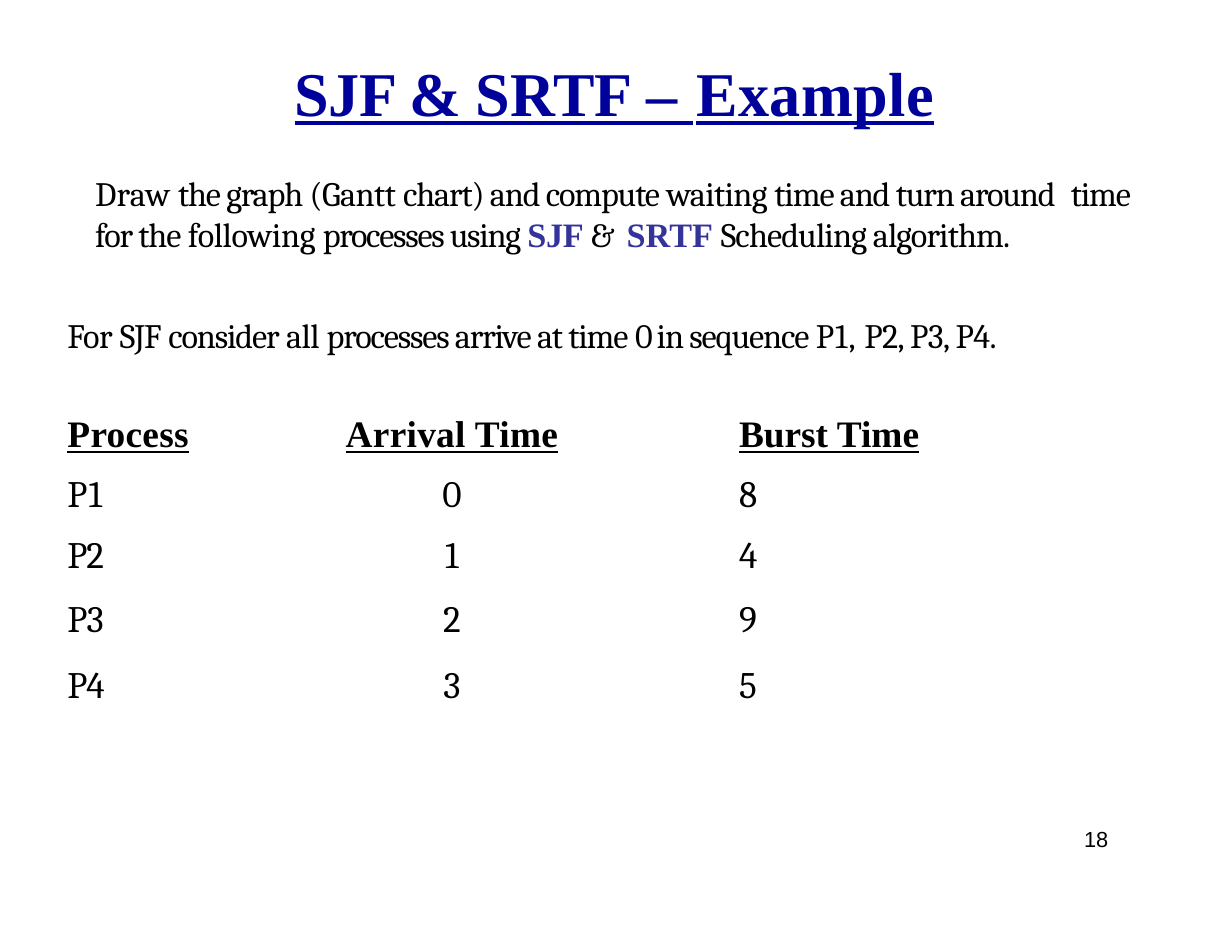
from pptx import Presentation
from pptx import util as u
from pptx.dml.color import RGBColor
from pptx.enum import text

SERIF, BODY, SANS = "Times New Roman", "Cambria", "Arial"
BLACK, NAVY, INDIGO = "000000", "00009A", "33339A"


def color(value):
    return RGBColor.from_string(value)


def add_run(p, content, font=BODY, size=22, fill=BLACK, bold=False, underline=False, spacing=0):
    r = p.add_run()
    r.text = content
    f = r.font
    f.name, f.size, f.bold, f.underline = font, u.Pt(size), bold, underline
    f.color.rgb = color(fill)
    r._r.get_or_add_rPr().set("spc", str(round(spacing * 100)))


class Deck:
    def __init__(self, width, height):
        self.prs = Presentation()
        self.prs.slide_width, self.prs.slide_height = u.Cm(width), u.Cm(height)
        self.s = self.prs.slides.add_slide(self.prs.slide_layouts[5])

    def paragraph(self, p, runs, indent=0.0, before=0, line=None, align=text.PP_ALIGN.LEFT, **style):
        p.alignment, p.space_before = align, u.Pt(before)
        if line:
            p.line_spacing = line
        pPr = p._p.get_or_add_pPr()
        pPr.set("marL", str(u.Cm(indent)))
        pPr.set("indent", "0")
        for content, spacing, *extra in runs:
            add_run(p, content, spacing=spacing, **{**style, **(extra[0] if extra else {})})

    def frame(self, tf):
        tf.margin_left = tf.margin_right = tf.margin_bottom = 0
        tf.margin_top = u.Cm(0.03)
        tf.word_wrap = True
        tf.auto_size = text.MSO_AUTO_SIZE.NONE
        tf.vertical_anchor = text.MSO_ANCHOR.TOP
        return tf

    def title(self, box, runs, **style):
        sp = self.s.shapes.title
        sp.left, sp.top, sp.width, sp.height = map(u.Cm, box)
        self.paragraph(self.frame(sp.text_frame).paragraphs[0], runs, **style)

    def textbox(self, box, paragraphs):
        tf = self.frame(self.s.shapes.add_textbox(*map(u.Cm, box)).text_frame)
        for i, (runs, style) in enumerate(paragraphs):
            p = tf.add_paragraph() if i else tf.paragraphs[0]
            self.paragraph(p, runs, **style)

    def table(self, left, top, widths, heights, rows, columns):
        box = map(u.Cm, (left, top, sum(widths), sum(heights)))
        table = self.s.shapes.add_table(len(rows), len(widths), *box).table
        table.first_row = table.horz_banding = False
        for col, width in zip(table.columns, widths):
            col.width = u.Cm(width)
        for i, values in enumerate(rows):
            table.rows[i].height = u.Cm(heights[i])
            if i == 0:
                style = dict(font=SERIF, bold=True, underline=True, line=u.Pt(22.8))
            else:
                style = dict(before=0.6 if i == 1 else 1.6)
            if i == len(rows) - 1:
                style["line"] = u.Pt(28.5)
            for j, (value, spacing) in enumerate(values):
                cell = table.cell(i, j)
                cell.fill.background()
                cell.margin_left = cell.margin_right = cell.margin_bottom = 0
                cell.margin_top = u.Cm(0.04 if i else 0)
                p = cell.text_frame.paragraphs[0]
                self.paragraph(p, [(value, spacing)], size=24, **style, **columns[j])


deck = Deck(27.94, 21.59)
deck.title((6.55, 1.19, 14.86, 1.78),
           [("SJF ", -0.3), ("& ", -1.2), ("SRTF ", 0.2), ("–", 0), (" ", 1.8), ("Example", 0.3)],
           indent=0.13, before=1, font=SERIF, size=40, fill=NAVY, bold=True, underline=True)

accent = dict(font=SERIF, fill=INDIGO, bold=True)
task = [("Draw ", 0.1), ("the graph ", -0.7), ("(Gantt ", -0.3), ("chart) and compute ", -0.7),
        ("waiting ", -0.4), ("time and turn around", -0.7), (" ", 5), ("time for the ", -0.7),
        ("following ", -0.2), ("processes using ", -0.8), ("SJF ", -0.2, accent), ("& ", 1.6),
        ("SRTF ", 0.1, accent), ("Scheduling algorithm.", -0.55)]
note = [("For ", -0.2), ("SJF ", -0.5), ("consider ", -0.7), ("all ", -0.3),
        ("processes arrive at time ", -0.7), ("0 ", -2.3), ("in sequence ", -0.7),
        ("P1, ", 0.7), ("P2, P3, P4.", -0.3)]
deck.textbox((1.5, 3.86, 24.97, 4.19),
             [(task, dict(indent=0.66, before=0.8, line=1.01)),
              (note, dict(indent=0.03, before=38.5))])

processes = [("P1", 0.9, 0, 8), ("P2", -0.6, 1, 4), ("P3", -0.5, 2, 9), ("P4", -0.7, 3, 5)]
header = [("Process", 0.2), ("Arrival Time", 0.2), ("Burst Time", 0)]
rows = [header] + [[(name, spacing), (str(arrival), 0), (str(burst), 0)]
                   for name, spacing, arrival, burst in processes]
deck.table(1.45, 9.53, (4.47, 8.66, 6.43), (1.17, 1.4, 1.45, 1.45, 1.3), rows,
           [dict(indent=0.08), dict(align=text.PP_ALIGN.CENTER), dict(indent=2.18)])

deck.textbox((24.56, 18.69, 0.61, 0.64),
             [([("18", -0.1)], dict(indent=0.03, before=0.9, font=SANS, size=14))])
deck.prs.save("out.pptx")
